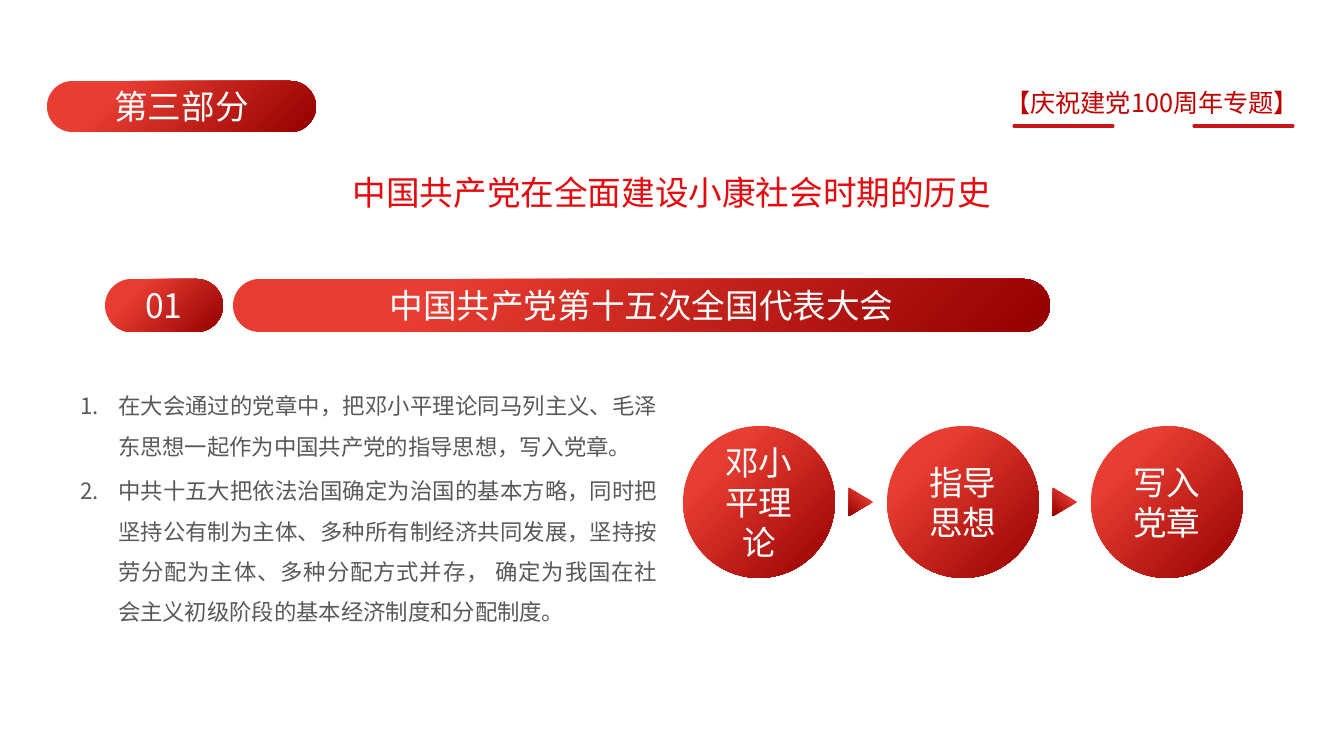
from dataclasses import dataclass
from lxml import etree
from pptx import Presentation
from pptx.dml.color import RGBColor
from pptx.enum.shapes import MSO_CONNECTOR, MSO_SHAPE
from pptx.enum.text import MSO_ANCHOR, PP_ALIGN
from pptx.oxml.ns import qn
from pptx.util import Pt

LINE = MSO_CONNECTOR.STRAIGHT
PILL, DISC, TRI = MSO_SHAPE.ROUNDED_RECTANGLE, MSO_SHAPE.OVAL, MSO_SHAPE.ISOSCELES_TRIANGLE
TOP, MID = MSO_ANCHOR.TOP, MSO_ANCHOR.MIDDLE
CENTER, RIGHT, JUST = PP_ALIGN.CENTER, PP_ALIGN.RIGHT, PP_ALIGN.JUSTIFY

# Content
HEAD = "【庆祝建党100周年专题】"
TITLE = "中国共产党在全面建设小康社会时期的历史"
PILLS = [
    ("第三部分", (47, 81, 269, 51)),
    ("01", (105, 279, 118, 53)),
    ("中国共产党第十五次全国代表大会", (233, 279, 817, 53)),
]
POINTS = [
    "在大会通过的党章中，把邓小平理论同马列主义、毛泽东思想一起作为中国共产党的指导思想，写入党章。",
    "中共十五大把依法治国确定为治国的基本方略，同时把坚持公有制为主体、多种所有制经济共同发展，"
    "坚持按劳分配为主体、多种分配方式并存， 确定为我国在社会主义初级阶段的基本经济制度和分配制度。",
]
STEPS = ["邓小平理论", "指导思想", "写入党章"]


@dataclass(frozen=True)
class Theme:
    font: str = "Noto Sans CJK SC"
    light: str = "E83D32"
    dark: str = "940000"
    title: str = "E5090D"
    head: str = "C00000"
    rule: str = "C8161D"
    body: str = "595959"
    white: str = "FFFFFF"
    big: int = 24
    mid: int = 18
    small: int = 16


T = Theme()


def px(n):
    return round(n * 914400 / 100.8)


def rgb(code):
    return RGBColor.from_string(code)


def place(shape, box):
    shape.left, shape.top, shape.width, shape.height = map(px, box)


def style(par, size, color, align):
    par.alignment = align
    for run in par.runs:
        font = run.font
        font.name, font.size, font.bold = T.font, Pt(size), False
        font.color.rgb = rgb(color)
        east = etree.SubElement(font._element, qn("a:ea"))
        east.set("typeface", T.font)


def frame(shape, side, edge, anchor):
    tf = shape.text_frame
    tf.word_wrap = True
    tf.margin_left = tf.margin_right = px(side)
    tf.margin_top = tf.margin_bottom = px(edge)
    tf.vertical_anchor = anchor
    return tf


def red(kind, box, text=""):
    shape = slide.shapes.add_shape(kind, *map(px, box))
    shape.shadow.inherit = False
    shape.line.fill.background()
    shape.fill.gradient()
    shape.fill.gradient_angle = 315
    stops = shape.fill.gradient_stops
    for stop, pos, color in zip(stops, (0.24, 1), (T.light, T.dark)):
        stop.position = pos
        stop.color.rgb = rgb(color)
    if text:
        tf = frame(shape, 10, 5, MID)
        tf.text = text
        style(tf.paragraphs[0], T.big, T.white, CENTER)
    return shape


prs = Presentation()
prs.slide_width, prs.slide_height = px(1344), px(756)
slide = prs.slides.add_slide(prs.slide_layouts[1])

# Title
title = slide.shapes.title
place(title, (248, 165, 848, 54))
tf = frame(title, 13, 7, TOP)
tf.text = TITLE
style(tf.paragraphs[0], T.big, T.title, CENTER)

# Running head with its two rules
head = slide.shapes.add_textbox(*map(px, (799, 80, 513, 44)))
tf = frame(head, 13, 7, TOP)
tf.text = HEAD
style(tf.paragraphs[0], T.mid, T.head, RIGHT)
for x in (1014, 1194):
    rule = slide.shapes.add_connector(LINE, px(x), px(126), px(x + 99), px(126))
    rule.line.color.rgb = rgb(T.rule)
    rule.line.width = Pt(2.25)
    rule.line._get_or_add_ln().set("cap", "rnd")
    etree.SubElement(rule._element.spPr, qn("a:effectLst"))

# Section labels
for text, box in PILLS:
    red(PILL, box, text).adjustments[0] = 0.5

# Numbered list
body = slide.placeholders[1]
place(body, (80, 379, 578, 250))
tf = frame(body, 0, 0, TOP)
for i, text in enumerate(POINTS):
    par = tf.add_paragraph() if i else tf.paragraphs[0]
    par.text = text
    props = par._p.get_or_add_pPr()
    props.set("marL", str(px(38)))
    props.set("indent", str(-px(38)))
    etree.SubElement(props, qn("a:buFont")).set("typeface", T.font)
    etree.SubElement(props, qn("a:buAutoNum")).set("type", "arabicPeriod")
    par.line_spacing = 1.5
    par.space_before = Pt(3.2 if i else 0)
    style(par, T.small, T.body, JUST)

# Chain of discs, with an arrow centred in each gap
LEFT, UP, SIZE, STEP = 683, 426, 152, 204
WIDE, HIGH = 28, 24
for i, text in enumerate(STEPS):
    x = LEFT + i * STEP
    red(DISC, (x, UP, SIZE, SIZE), text)
    if i:
        mid = x - (STEP - SIZE) / 2
        tri = red(TRI, (mid - WIDE / 2, UP + (SIZE - HIGH) / 2, WIDE, HIGH))
        tri.rotation = 90

prs.save("out.pptx")
